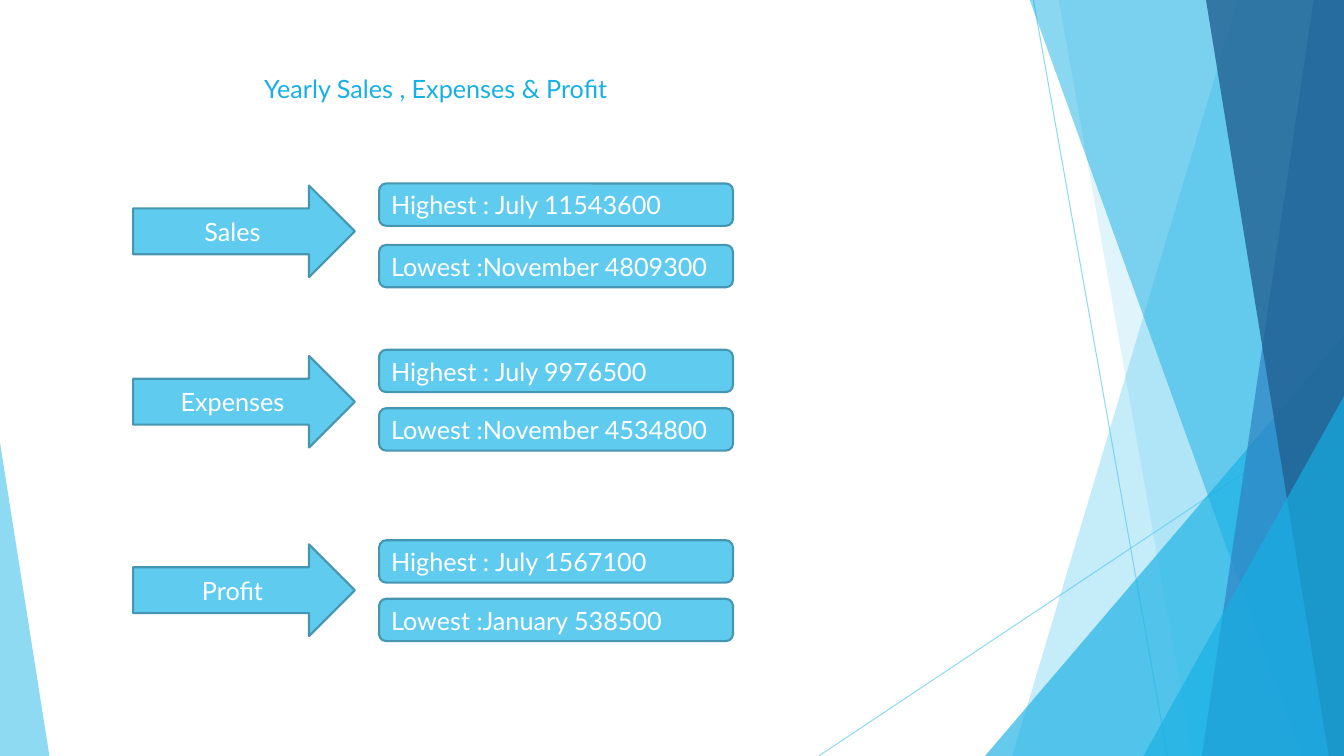
from dataclasses import dataclass

from lxml import etree
from pptx import Presentation
from pptx import util as u
from pptx.dml.color import RGBColor
from pptx.enum import shapes, text
from pptx.oxml import ns

COLORS = {
    "sky": "5FCBEF",
    "cyan": "17B0E4",
    "blue": "2E83C3",
    "navy": "226292",
    "outline": "4696B1",
    "white": "FFFFFF",
}
WIDTH, HEIGHT = 13.33, 7.5
BAND_TOP = -0.01


@dataclass
class Ray:
    start: tuple[float, float]
    end: tuple[float, float]


@dataclass
class Band:
    """A sloping left edge, filled out to the right side of the slide."""
    top_x: float
    bottom_x: float
    color: str
    opacity: int


@dataclass
class Corner:
    """A triangle standing on the bottom of the slide."""
    left: float
    top: float
    width: float
    apex: float
    color: str
    opacity: int


@dataclass
class Measure:
    name: str
    arrow_top: float
    highest_top: float
    lowest_top: float
    highest: str
    lowest: str


RAYS = [Ray((10.25, 0), (11.58, HEIGHT)), Ray((WIDTH, 4.03), (8.12, HEIGHT))]
# From back to front
FACETS = [
    Band(12.28, 10.04, "sky", 36),
    Band(10.5, 11.83, "sky", 20),
    Corner(9.77, 3.33, 3.56, 1, "cyan", 66),
    Band(10.21, 12.91, "cyan", 50),
    Band(13.03, 11.92, "blue", 70),
    Band(11.96, 13.18, "navy", 80),
    Corner(11.34, 3.93, 1.99, 1, "cyan", 66),
    Corner(0, 4.39, 0.49, 0, "sky", 70),
]
MEASURES = [
    Measure("Sales", 1.84, 1.82, 2.43, "July 11543600", "November 4809300"),
    Measure("Expenses", 3.53, 3.47, 4.05, "July 9976500", "November 4534800"),
    Measure("Profit", 5.4, 5.36, 5.94, "July 1567100", "January 538500"),
]


def rgb(name: str) -> RGBColor:
    return RGBColor.from_string(COLORS[name])


def set_opacity(shape, percent: int) -> None:
    for color in shape._element.spPr.iter(ns.qn("a:srgbClr")):
        etree.SubElement(color, ns.qn("a:alpha"), val=str(percent * 1000))


def write(shape, words: str, color: str, alignment, anchor) -> None:
    frame = shape.text_frame
    frame_format = {
        "word_wrap": True, "vertical_anchor": anchor,
        "margin_left": u.Inches(0.1), "margin_right": u.Inches(0.1),
        "margin_top": u.Inches(0.05), "margin_bottom": u.Inches(0.05),
    }
    for name, value in frame_format.items():
        setattr(frame, name, value)
    paragraph = frame.paragraphs[0]
    paragraph.alignment = alignment
    run = paragraph.add_run()
    run.text = words
    for name, value in {"name": "Lato", "size": u.Pt(18), "bold": False}.items():
        setattr(run.font, name, value)
    run.font.color.rgb = rgb(color)


def draw_ray(group, ray: Ray) -> None:
    points = [u.Inches(value) for value in (*ray.start, *ray.end)]
    line = group.shapes.add_connector(shapes.MSO_CONNECTOR.STRAIGHT, *points)
    line.line.color.rgb = rgb("sky")
    line.line.width = u.Pt(0.75)
    set_opacity(line, 70)
    etree.SubElement(line._element.spPr, ns.qn("a:effectLst"))


def draw_facet(group, facet: Band | Corner) -> None:
    if isinstance(facet, Band):
        outline = [(facet.top_x, BAND_TOP), (WIDTH, BAND_TOP),
                   (WIDTH, HEIGHT), (facet.bottom_x, HEIGHT)]
        points = [(u.Inches(x), u.Inches(y)) for x, y in outline]
        builder = group.shapes.build_freeform(*points[0])
        builder.add_line_segments(points[1:], close=True)
        shape = builder.convert_to_shape()
    else:
        box = (facet.left, facet.top, facet.width, HEIGHT - facet.top)
        shape = group.shapes.add_shape(
            shapes.MSO_SHAPE.ISOSCELES_TRIANGLE, *map(u.Inches, box))
        shape.adjustments[0] = facet.apex
    shape.shadow.inherit = False
    shape.fill.solid()
    shape.fill.fore_color.rgb = rgb(facet.color)
    shape.line.fill.background()
    set_opacity(shape, facet.opacity)


def draw_label(group, kind, box: tuple, words: str, alignment) -> None:
    shape = group.shapes.add_shape(kind, *map(u.Inches, box))
    shape.shadow.inherit = False
    shape.fill.solid()
    shape.fill.fore_color.rgb = rgb("sky")
    shape.line.color.rgb = rgb("outline")
    shape.line.width = u.Pt(1.5)
    write(shape, words, "white", alignment, text.MSO_ANCHOR.MIDDLE)


def draw_measure(slide, measure: Measure) -> None:
    group = slide.shapes.add_group_shape()
    draw_label(group, shapes.MSO_SHAPE.RIGHT_ARROW,
               (1.32, measure.arrow_top, 2.2, 0.91), measure.name,
               text.PP_ALIGN.CENTER)
    for top, words in ((measure.highest_top, f"Highest : {measure.highest}"),
                       (measure.lowest_top, f"Lowest :{measure.lowest}")):
        draw_label(group, shapes.MSO_SHAPE.ROUNDED_RECTANGLE,
                   (3.76, top, 3.51, 0.42), words, text.PP_ALIGN.LEFT)


def main() -> None:
    presentation = Presentation()
    presentation.slide_width = u.Inches(WIDTH)
    presentation.slide_height = u.Inches(HEIGHT)
    slide = presentation.slides.add_slide(presentation.slide_layouts[5])

    # Title
    title = slide.shapes.title
    title_box = {"left": 2.52, "top": 0.68, "width": 5.87, "height": 0.4}
    for name, value in title_box.items():
        setattr(title, name, u.Inches(value))
    write(title, "Yearly Sales , Expenses & Profit", "cyan",
          text.PP_ALIGN.LEFT, text.MSO_ANCHOR.TOP)

    # Faceted backdrop
    backdrop = slide.shapes.add_group_shape()
    for ray in RAYS:
        draw_ray(backdrop, ray)
    for facet in FACETS:
        draw_facet(backdrop, facet)

    # Highest and lowest month of each measure
    for measure in MEASURES:
        draw_measure(slide, measure)

    presentation.save("out.pptx")


if __name__ == "__main__":
    main()
